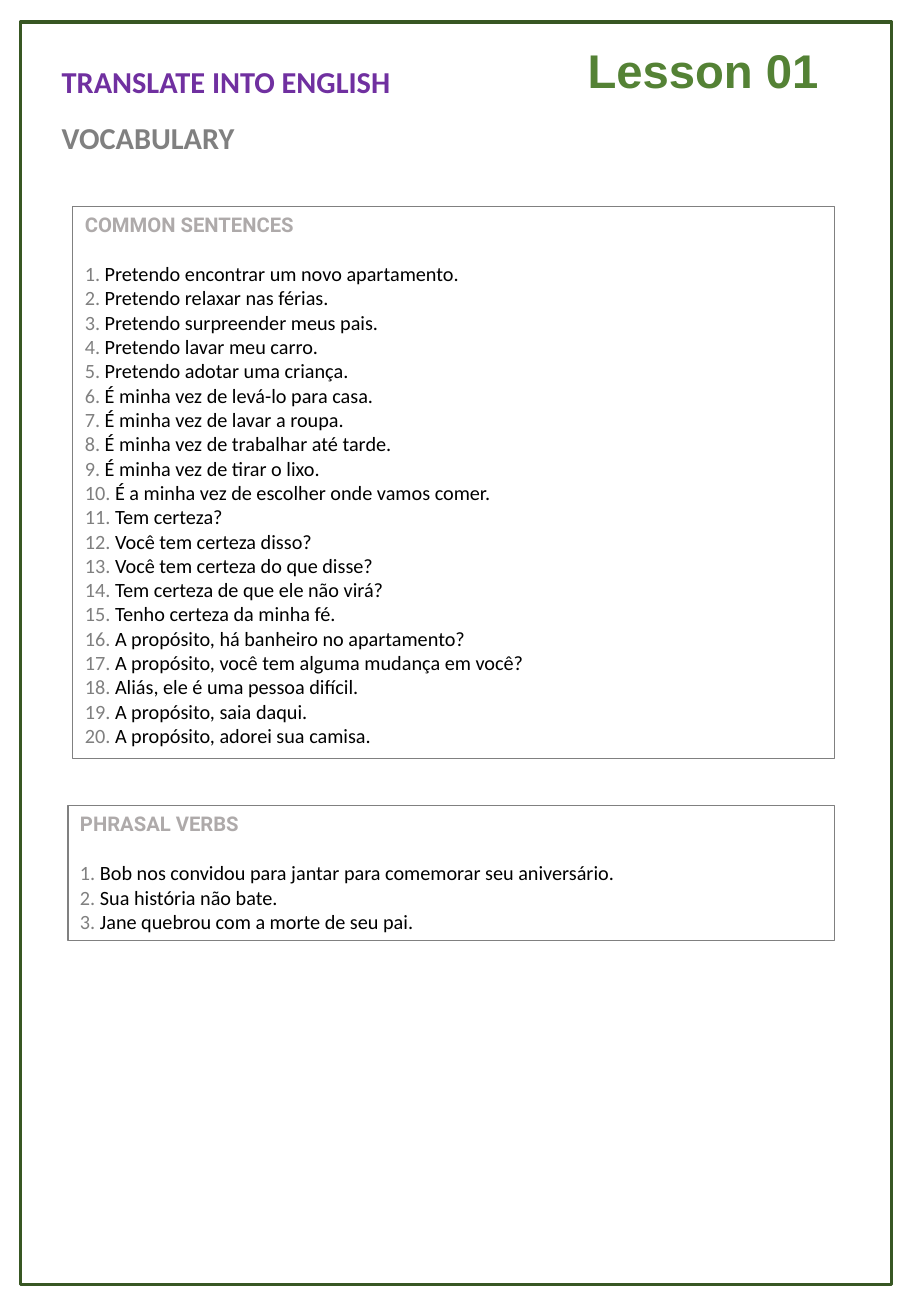
from pptx import Presentation
from pptx import util as u
from pptx.dml.color import RGBColor
from pptx.enum import shapes, text

PURPLE = RGBColor(0x70, 0x30, 0xA0)
GREEN = RGBColor(0x54, 0x82, 0x35)
DARK_GREEN = RGBColor(0x38, 0x57, 0x23)
GRAY = RGBColor(0x80, 0x80, 0x80)
LIGHT_GRAY = RGBColor(0xAE, 0xAA, 0xAA)
BLACK = RGBColor(0, 0, 0)

COMMON_SENTENCES = [
    "Pretendo encontrar um novo apartamento.",
    "Pretendo relaxar nas férias.",
    "Pretendo surpreender meus pais.",
    "Pretendo lavar meu carro.",
    "Pretendo adotar uma criança.",
    "É minha vez de levá-lo para casa.",
    "É minha vez de lavar a roupa.",
    "É minha vez de trabalhar até tarde.",
    "É minha vez de tirar o lixo.",
    "É a minha vez de escolher onde vamos comer.",
    "Tem certeza?",
    "Você tem certeza disso?",
    "Você tem certeza do que disse?",
    "Tem certeza de que ele não virá?",
    "Tenho certeza da minha fé.",
    "A propósito, há banheiro no apartamento?",
    "A propósito, você tem alguma mudança em você?",
    "Aliás, ele é uma pessoa difícil.",
    "A propósito, saia daqui.",
    "A propósito, adorei sua camisa.",
]
PHRASAL_VERBS = [
    "Bob nos convidou para jantar para comemorar seu aniversário.",
    "Sua história não bate.",
    "Jane quebrou com a morte de seu pai.",
]


class Worksheet:
    title_style = {"name": "Calibri", "size": u.Pt(18), "bold": True}
    lesson_style = {"name": "Arial", "size": u.Pt(28), "bold": True}
    heading_style = {"name": "Roboto", "size": u.Pt(12), "bold": True}
    sentence_style = {"name": "Calibri", "size": u.Pt(12), "bold": False}

    def __init__(self, slide):
        self.slide = slide

    def span(self, para, words, style, color):
        span = para.add_run()
        span.text = words
        for key, value in style.items():
            setattr(span.font, key, value)
        span.font.color.rgb = color

    def label(self, place, words, style, color, wrap=True):
        box = self.slide.shapes.add_textbox(*map(u.Inches, place))
        box.text_frame.word_wrap = wrap
        box.text_frame.auto_size = text.MSO_AUTO_SIZE.SHAPE_TO_FIT_TEXT
        self.span(box.text_frame.paragraphs[0], words, style, color)

    def frame(self, place, color, width):
        box = self.slide.shapes.add_shape(
            shapes.MSO_SHAPE.RECTANGLE, *map(u.Inches, place))
        box.shadow.inherit = False
        box.fill.background()
        box.line.color.rgb = color
        box.line.width = u.Pt(width)
        return box

    def exercise(self, place, heading, sentences):
        """Framed heading followed by numbered sentences."""
        frame = self.frame(place, GRAY, 0.75).text_frame
        frame.word_wrap = True
        frame.auto_size = text.MSO_AUTO_SIZE.SHAPE_TO_FIT_TEXT
        frame.vertical_anchor = text.MSO_ANCHOR.TOP
        para = frame.paragraphs[0]
        para.alignment = text.PP_ALIGN.LEFT
        para.space_after = u.Pt(14.6)
        self.span(para, heading, self.heading_style, LIGHT_GRAY)
        for number, sentence in enumerate(sentences, 1):
            para = frame.add_paragraph()
            para.alignment = text.PP_ALIGN.LEFT
            self.span(para, f"{number}. ", self.sentence_style, GRAY)
            self.span(para, sentence, self.sentence_style, BLACK)


def main():
    deck = Presentation()
    deck.slide_width = u.Inches(7.5)
    deck.slide_height = u.Inches(10.83)
    page = Worksheet(deck.slides.add_slide(deck.slide_layouts[6]))
    page.label((0.41, 0.47, 3.1, 0.41), "TRANSLATE INTO ENGLISH",
               page.title_style, PURPLE)
    page.label((4.74, 0.29, 2.13, 0.57), "Lesson 01",
               page.lesson_style, GREEN, wrap=False)
    page.frame((0.17, 0.18, 7.17, 10.39), DARK_GREEN, 2)
    page.exercise((0.6, 1.7, 6.27, 4.54), "COMMON SENTENCES", COMMON_SENTENCES)
    page.exercise((0.56, 6.63, 6.31, 1.11), "PHRASAL VERBS", PHRASAL_VERBS)
    page.label((0.41, 0.93, 1.63, 0.41), "VOCABULARY", page.title_style, GRAY)
    deck.save("out.pptx")


if __name__ == "__main__":
    main()
